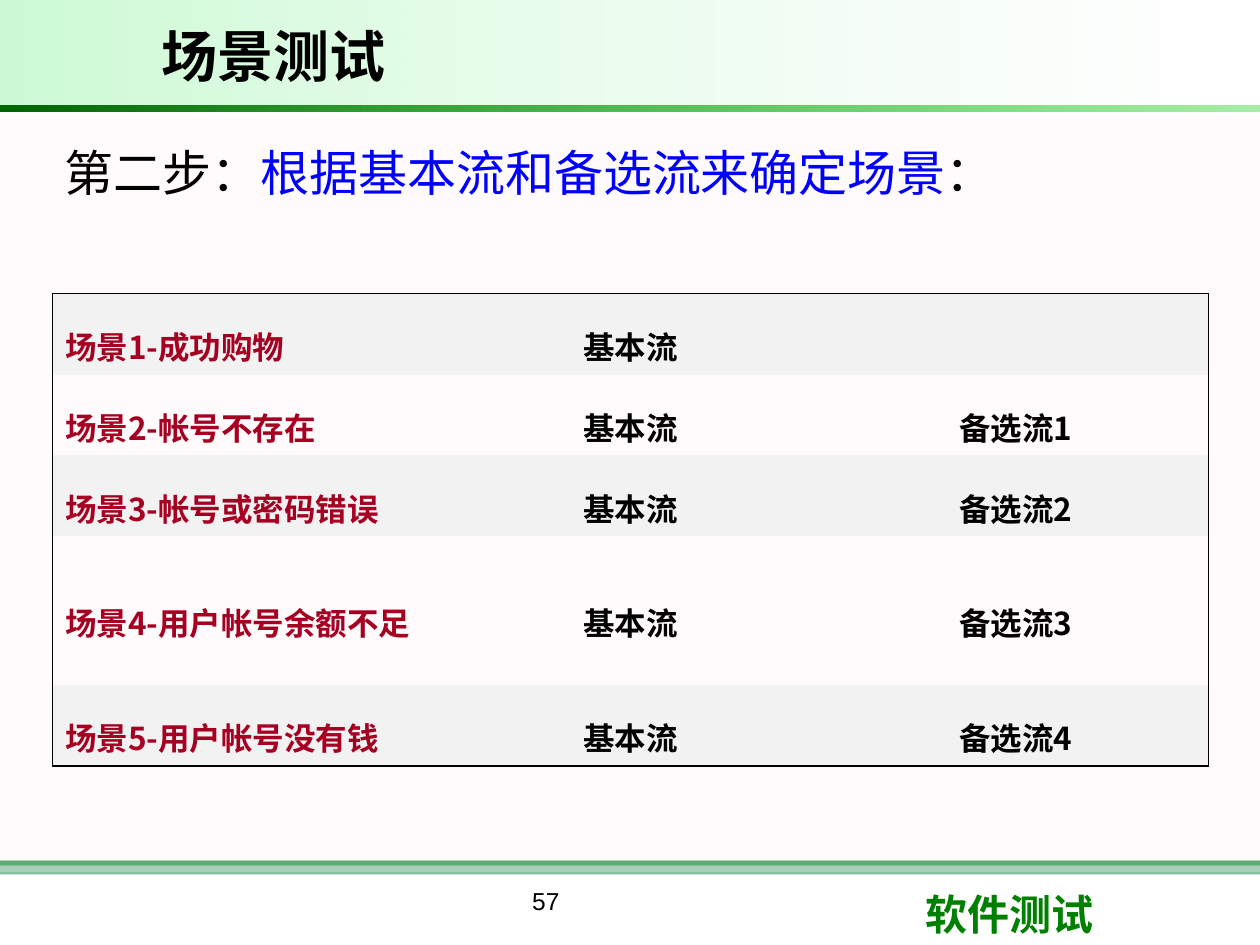
"""Build the scenario-testing slide with its table of basic and alternative flows."""
import pptx
import pptx.dml.color
import pptx.enum.shapes
import pptx.enum.text
import pptx.oxml
import pptx.oxml.ns
import pptx.util
from pptx.util import Cm

THEME = {
    "latin": "Arial", "cjk": "Noto Sans CJK SC",
    "black": "000000", "blue": "0000FF", "red": "A50021", "green": "008000", "band": "F2F2F2",
    "rule": "339966", "wash": "FFF0F5", "mint": "09E733", "white": "FFFFFF",
    "forest": "006400", "leaf": "00CC00",
    "title": 32, "step": 28, "course": 24, "cell": 18, "number": 14,
}
TITLE = "场景测试"
STEP = [("第二步：", "black"), ("根据基本流和备选流来确定场景", "blue"), ("：", "black")]
SCENARIOS = [
    ("场景1-成功购物", "基本流", ""),
    ("场景2-帐号不存在", "基本流", "备选流1"),
    ("场景3-帐号或密码错误", "基本流", "备选流2"),
    ("场景4-用户帐号余额不足", "基本流", "备选流3"),
    ("场景5-用户帐号没有钱", "基本流", "备选流4"),
]
ROW_HEIGHT, TALL_HEIGHT, TALL_ROW = 1.63, 3.0, 3
COURSE, NUMBER = "软件测试", "57"
BANDS = [
    (17.35, 0.1, [("green", 100)]),
    (17.35, 0.28, [("rule", 60)]),
    (2.34, 15.24, [("wash", 30)]),
    (0, 2.12, [("mint", 21), ("white", 10)]),
    (2.12, 0.13, [("forest", 100), ("leaf", 35)]),
]
WIDTH, HEIGHT = Cm(25.4), Cm(19.05)
LEFT, CENTER = pptx.enum.text.PP_ALIGN.LEFT, pptx.enum.text.PP_ALIGN.CENTER
MIDDLE = pptx.enum.text.MSO_ANCHOR.MIDDLE


def rgb(name):
    return pptx.dml.color.RGBColor.from_string(THEME[name])


def set_font(font, size, face, color=None, bold=False):
    font.size, font.name, font.bold = pptx.util.Pt(THEME[size]), THEME[face], bold
    if color:
        font.color.rgb = rgb(color)
    latin = font._element.find(pptx.oxml.ns.qn("a:latin"))
    latin.addnext(pptx.oxml.parse_xml(
        f'<a:ea {pptx.oxml.ns.nsdecls("a")} typeface="{THEME[face]}"/>'))


def add_band(slide, top, height, colors):
    sp = slide.shapes.add_shape(
        pptx.enum.shapes.MSO_SHAPE.RECTANGLE, 0, Cm(top), WIDTH, Cm(height))
    sp.shadow.inherit = False
    sp.line.fill.background()
    if len(colors) == 1:
        sp.fill.solid()
        targets = [sp.fill.fore_color]
    else:
        sp.fill.gradient()
        sp.fill.gradient_angle = 0
        targets = [stop.color for stop in sp.fill.gradient_stops]
    for target, (color, _) in zip(targets, colors):
        target.rgb = rgb(color)
    tags = sp._element.spPr.iter(pptx.oxml.ns.qn("a:srgbClr"))
    for tag, (_, alpha) in zip(list(tags), colors):
        tag.append(pptx.oxml.parse_xml(
            f'<a:alpha {pptx.oxml.ns.nsdecls("a")} val="{alpha * 1000}"/>'))


def add_text(slide, box, runs, size, face, align=LEFT, bold=False):
    tf = slide.shapes.add_textbox(*map(Cm, box)).text_frame
    tf.word_wrap = True
    p = tf.paragraphs[0]
    p.alignment = align
    set_font(p.font, size, face, runs[0][1] if len(runs) == 1 else None, bold)
    for text, color in runs:
        r = p.add_run()
        r.text = text
        if len(runs) > 1:
            r.font.color.rgb = rgb(color)


def set_borders(cell, sides):
    for side in "LRTB":
        fill = (f'<a:solidFill><a:srgbClr val="{THEME["black"]}"/></a:solidFill>'
                if side in sides else "<a:noFill/>")
        cell._tc.get_or_add_tcPr().append(pptx.oxml.parse_xml(
            f'<a:ln{side} {pptx.oxml.ns.nsdecls("a")} w="12700">{fill}</a:ln{side}>'))


def add_scenarios(slide):
    rows, cols = len(SCENARIOS), len(SCENARIOS[0])
    heights = [TALL_HEIGHT if i == TALL_ROW else ROW_HEIGHT for i in range(rows)]
    table = slide.shapes.add_table(
        rows, cols, Cm(1.06), Cm(5.92), Cm(23.3), Cm(sum(heights))).table
    table.first_row = table.horz_banding = False
    for i, row in enumerate(SCENARIOS):
        table.rows[i].height = Cm(heights[i])
        for j, text in enumerate(row):
            cell = table.cell(i, j)
            edges = {"T": i == 0, "B": i == rows - 1, "L": j == 0, "R": j == cols - 1}
            set_borders(cell, [side for side, outer in edges.items() if outer])
            if i % 2:
                cell.fill.background()
            else:
                cell.fill.solid()
                cell.fill.fore_color.rgb = rgb("band")
            cell.vertical_anchor = MIDDLE
            p = cell.text_frame.paragraphs[0]
            p.text = text
            p.alignment = CENTER if j else LEFT
            p.line_spacing = 1.5
            p.space_before = pptx.util.Pt(6 if text else 0)
            set_font(p.font, "cell", "cjk", "black" if j else "red", True)


def main():
    prs = pptx.Presentation()
    prs.slide_width, prs.slide_height = WIDTH, HEIGHT
    slide = prs.slides.add_slide(prs.slide_layouts[5])
    for band in BANDS:
        add_band(slide, *band)

    title = slide.shapes.title
    title.left, title.top, title.width, title.height = map(Cm, (3, 0.22, 17.7, 1.8))
    tf = title.text_frame
    tf.text = TITLE
    tf.auto_size = pptx.enum.text.MSO_AUTO_SIZE.NONE
    tf.vertical_anchor = MIDDLE
    tf.paragraphs[0].alignment = LEFT
    set_font(tf.paragraphs[0].font, "title", "latin", "black", True)
    slide.shapes._spTree.append(title._element)

    add_text(slide, (1.06, 2.74, 23.77, 1.6), STEP, "step", "cjk")
    add_scenarios(slide)
    add_text(slide, (18.4, 17.78, 6.02, 1.27), [(COURSE, "green")], "course", "latin", bold=True)
    add_text(slide, (6.98, 17.73, 8.05, 1.32), [(NUMBER, "black")], "number", "latin", CENTER)
    prs.save("out.pptx")


if __name__ == "__main__":
    main()
